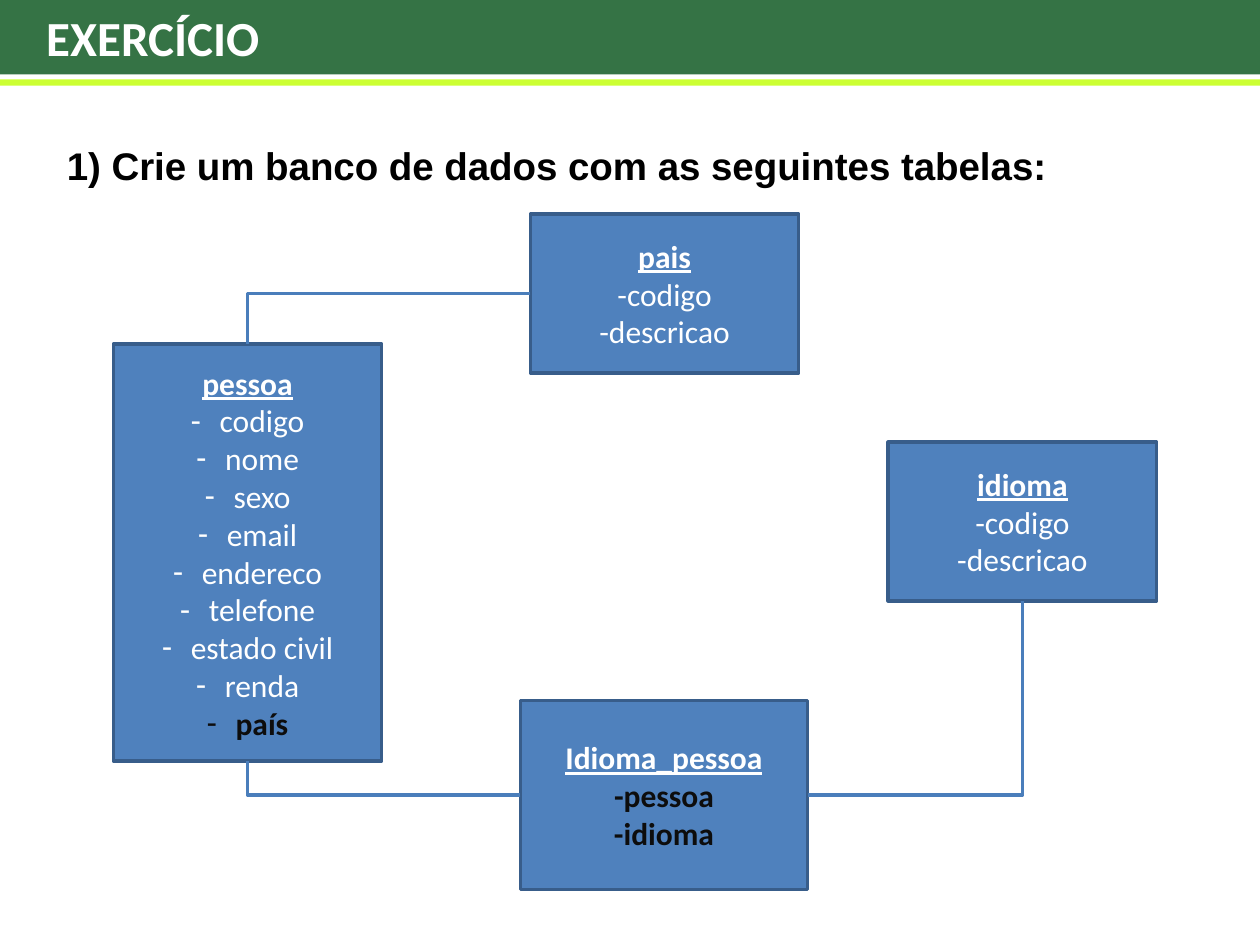
from lxml import etree
from pptx import Presentation
from pptx import util as u
from pptx.dml.color import RGBColor
from pptx.enum import shapes, text
from pptx.oxml.ns import qn

W, H = 10, 7.5
WHITE, DARK = "FFFFFF", "0D0D0D"
TITLE = "EXERCÍCIO"
TASK = "1) Crie um banco de dados com as seguintes tabelas:"
BARS = [(0, 0.59, "357345"), (0.63, 0.05, "CCFF33")]  # top, height, colour

# name: (left, top, width, height), plain fields, foreign keys, bulleted
TABLES = {
    "pessoa": ((0.9, 2.73, 2.13, 3.31),
               ["codigo", "nome", "sexo", "email", "endereco", "telefone",
                "estado civil", "renda"], ["país"], True),
    "pais": ((4.21, 1.7, 2.13, 1.26), ["-codigo", "-descricao"], [], False),
    "Idioma_pessoa": ((4.13, 5.56, 2.28, 1.5), [], ["-pessoa", "-idioma"], False),
    "idioma": ((7.05, 3.51, 2.13, 1.26), ["-codigo", "-descricao"], [], False),
}
TOP, LEFT, BOTTOM, RIGHT = range(4)  # connection sites of a rectangle
LINKS = [("pais", LEFT, "pessoa", TOP),
         ("Idioma_pessoa", LEFT, "pessoa", BOTTOM),
         ("Idioma_pessoa", RIGHT, "idioma", BOTTOM)]


def rgb(color):
    return RGBColor.from_string(color)


def box(sp, left, top, width, height):
    sp.left, sp.top, sp.width, sp.height = map(u.Inches, (left, top, width, height))


def add_rect(at, fill, line=None):
    sp = s.shapes.add_shape(shapes.MSO_SHAPE.RECTANGLE, *map(u.Inches, at))
    sp.shadow.inherit = False
    sp.fill.solid()
    sp.fill.fore_color.rgb = rgb(fill)
    if line:
        sp.line.color.rgb, sp.line.width = rgb(line), u.Pt(2)
    else:
        sp.line.fill.background()
    return sp


def add_run(p, words, size, color, bold=False, underline=False, font="Calibri"):
    r = p.add_run()
    r.text = words
    f = r.font
    f.name, f.size, f.bold, f.underline = font, u.Pt(size), bold, underline
    f.color.rgb = rgb(color)


def indent(p, inches):
    pPr = p._p.get_or_add_pPr()
    pPr.set("marL", str(u.Inches(inches)))
    pPr.set("indent", str(-u.Inches(inches)))
    return pPr


def add_dash(p, color):
    pPr = indent(p, 0.23)
    clr = etree.SubElement(pPr, qn("a:buClr"))
    etree.SubElement(clr, qn("a:srgbClr"), val=color)
    etree.SubElement(pPr, qn("a:buFont"), typeface="Arial")
    etree.SubElement(pPr, qn("a:buChar"), char="-")


def fill_placeholder(sp, at):
    box(sp, *at)
    tf = sp.text_frame
    tf.word_wrap, tf.auto_size = True, text.MSO_AUTO_SIZE.NONE
    tf.vertical_anchor = text.MSO_ANCHOR.MIDDLE
    p = tf.paragraphs[0]
    p.alignment, p.space_before = text.PP_ALIGN.LEFT, u.Pt(0)
    return p


prs = Presentation()
prs.slide_width, prs.slide_height = u.Inches(W), u.Inches(H)
s = prs.slides.add_slide(prs.slide_layouts[1])

# Header bars, kept behind the title
for i, (top, height, color) in enumerate(BARS):
    bar = add_rect((0, top, W, height), color)
    s.shapes._spTree.insert(2 + i, bar._element)

# Title and task
p = fill_placeholder(s.shapes.title, (0.27, 0.05, 7.01, 0.48))
add_run(p, TITLE, 28, WHITE, bold=True)
p = fill_placeholder(s.placeholders[1], (0.43, 0.71, 8.9, 0.84))
p.line_spacing = 2.0
etree.SubElement(indent(p, 0.38), qn("a:buNone"))
add_run(p, TASK, 22, "000000", bold=True, font="Arial")

# Database tables
nodes = {}
for name, (at, fields, keys, bulleted) in TABLES.items():
    sp = nodes[name] = add_rect(at, "4F81BD", "385D8A")
    tf = sp.text_frame
    tf.word_wrap, tf.vertical_anchor = True, text.MSO_ANCHOR.MIDDLE
    p = tf.paragraphs[0]
    p.alignment = text.PP_ALIGN.CENTER
    add_run(p, name, 18, WHITE, bold=True, underline=True)
    for field in fields + keys:
        is_key = field in keys
        color = DARK if is_key else WHITE
        p = tf.add_paragraph()
        p.alignment = text.PP_ALIGN.CENTER
        if bulleted:
            add_dash(p, color)
        add_run(p, field, 18, color, bold=is_key)

# Relations: one horizontal leg, then one vertical leg
for start, start_site, end, end_site in LINKS:
    c = s.shapes.add_connector(shapes.MSO_CONNECTOR.ELBOW, 0, 0, 0, 0)
    c.begin_connect(nodes[start], start_site)
    c.end_connect(nodes[end], end_site)
    c.line.color.rgb, c.line.width = rgb("4A7EBB"), u.Pt(2.25)
    spPr = c._element.spPr
    spPr.find(qn("a:prstGeom")).set("prst", "bentConnector2")
    etree.SubElement(spPr, qn("a:effectLst"))

prs.save("out.pptx")
